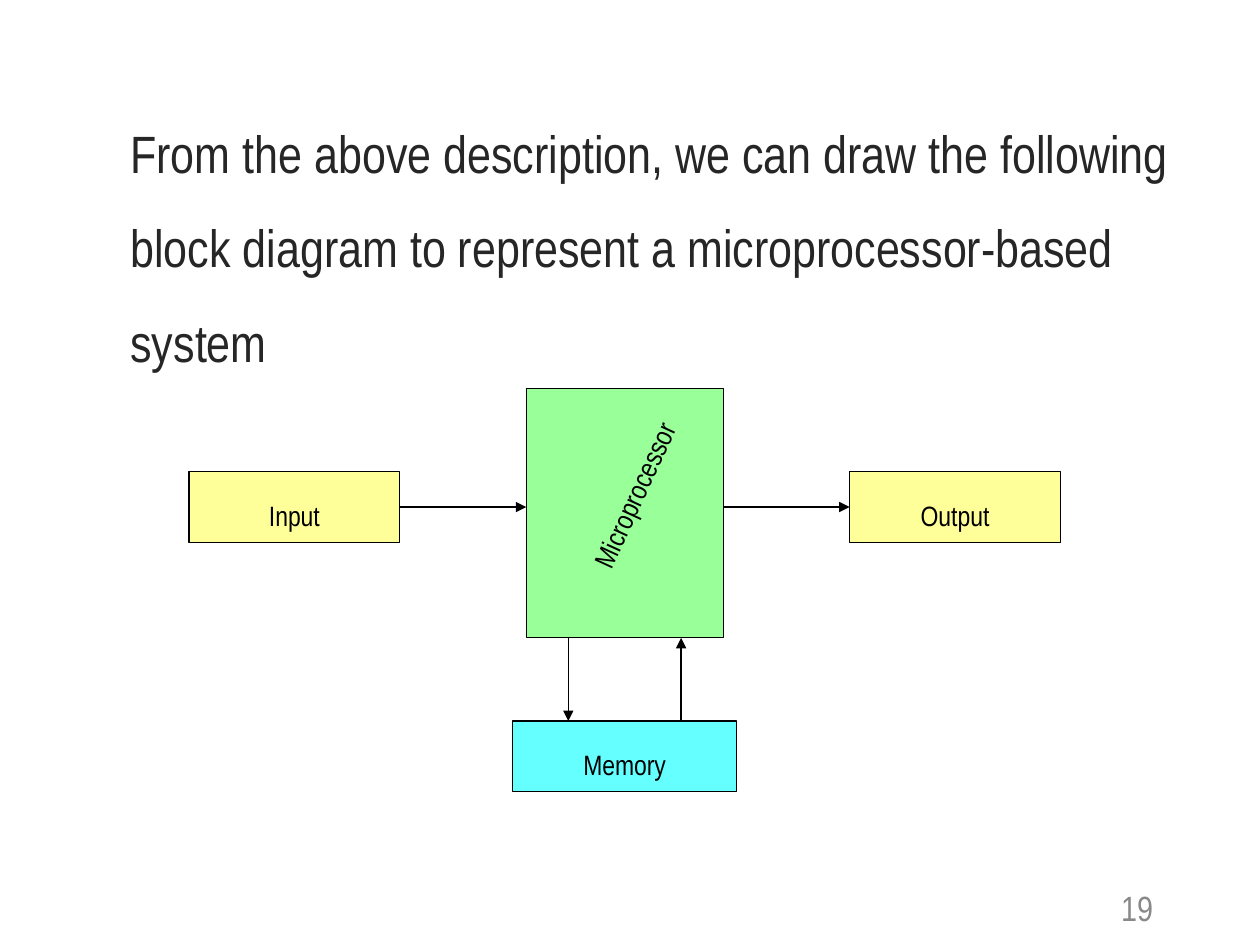
from lxml import etree
from pptx import Presentation
from pptx.dml.color import RGBColor
from pptx.enum.shapes import MSO_CONNECTOR, MSO_SHAPE
from pptx.enum.text import MSO_ANCHOR, PP_ALIGN
from pptx.oxml.ns import qn
from pptx.util import Pt

RECT = MSO_SHAPE.RECTANGLE
LINE = MSO_CONNECTOR.STRAIGHT
MIDDLE, TOP = MSO_ANCHOR.MIDDLE, MSO_ANCHOR.TOP
LEFT, CENTER, RIGHT = PP_ALIGN.LEFT, PP_ALIGN.CENTER, PP_ALIGN.RIGHT

BLACK = RGBColor(0x00, 0x00, 0x00)
DARK = RGBColor(0x26, 0x26, 0x26)
GRAY = RGBColor(0x89, 0x89, 0x89)
CYAN = RGBColor(0x66, 0xFF, 0xFF)
GREEN = RGBColor(0x99, 0xFF, 0x99)
YELLOW = RGBColor(0xFF, 0xFF, 0x99)
FONT = "Arial Narrow"


def write(shape, text, size, color, align, anchor=MIDDLE):
    frame = shape.text_frame
    frame.word_wrap = True
    frame.vertical_anchor = anchor
    para = frame.paragraphs[0]
    para.text = text
    para.alignment = align
    para.line_spacing = 1.5
    para.font.name = FONT
    para.font.size = Pt(size)
    para.font.color.rgb = color


def add_label(shapes, box, text, size, color, align, anchor=MIDDLE):
    label = shapes.add_textbox(*map(Pt, box))
    write(label, text, size, color, align, anchor)
    return label


def add_block(shapes, box, fill, text=""):
    block = shapes.add_shape(RECT, *map(Pt, box))
    block.shadow.inherit = False
    block.fill.solid()
    block.fill.fore_color.rgb = fill
    block.line.color.rgb = BLACK
    block.line.width = Pt(0.75)
    if text:
        write(block, text, 16, BLACK, CENTER)


def add_arrow(shapes, start, end):
    arrow = shapes.add_connector(LINE, *map(Pt, start + end))
    arrow.line.color.rgb = BLACK
    arrow.line.width = Pt(0.75)
    etree.SubElement(arrow.line._get_or_add_ln(), qn("a:tailEnd"), type="triangle")
    etree.SubElement(arrow._element.spPr, qn("a:effectLst"))


def draw_system(slide, left, top, width, height):
    shapes = slide.shapes.add_group_shape().shapes
    port_w, port_h = 120.5, 40.5
    core_w, core_h = 112.5, 142.5
    store_w = 128
    mid_x, mid_y = left + width / 2, top + 67.75
    core_x, core_end = mid_x - core_w / 2, mid_x + core_w / 2
    core_low = top + core_h
    store_y = top + height - port_h
    port_y = mid_y - port_h / 2
    out_x = left + width - port_w

    add_block(shapes, (mid_x - store_w / 2, store_y, store_w, port_h), CYAN, "Memory")
    add_block(shapes, (core_x, top, core_w, core_h), GREEN)
    add_block(shapes, (out_x, port_y, port_w, port_h), YELLOW, "Output")
    add_block(shapes, (left, port_y, port_w, port_h), YELLOW, "Input")
    name = add_label(shapes, (left + 177, top + 54.5, 133.5, 36),
                     "Microprocessor", 16, BLACK, RIGHT, TOP)
    name.rotation = 294.7

    down_x, up_x = mid_x - 32.25, mid_x + 32.25
    add_arrow(shapes, (down_x, core_low), (down_x, store_y))
    add_arrow(shapes, (up_x, store_y), (up_x, core_low))
    add_arrow(shapes, (left + port_w, mid_y), (core_x, mid_y))
    add_arrow(shapes, (core_end, mid_y), (out_x, mid_y))


def draw_title(slide, *box):
    add_label(slide.shapes, box,
              "From the above description, we can draw the following block "
              "diagram to represent a microprocessor-based system",
              30, DARK, LEFT)


def draw_number(slide, *box):
    add_label(slide.shapes, box, "19", 20, GRAY, RIGHT)


def main():
    deck = Presentation()
    deck.slide_width, deck.slide_height = Pt(720), Pt(540)
    slide = deck.slides.add_slide(deck.slide_layouts[6])
    draw_title(slide, 67.5, 87, 612, 90)
    draw_system(slide, 108, 222, 498, 230.5)
    draw_number(slide, 504, 498, 162, 29)
    deck.save("out.pptx")


if __name__ == "__main__":
    main()
